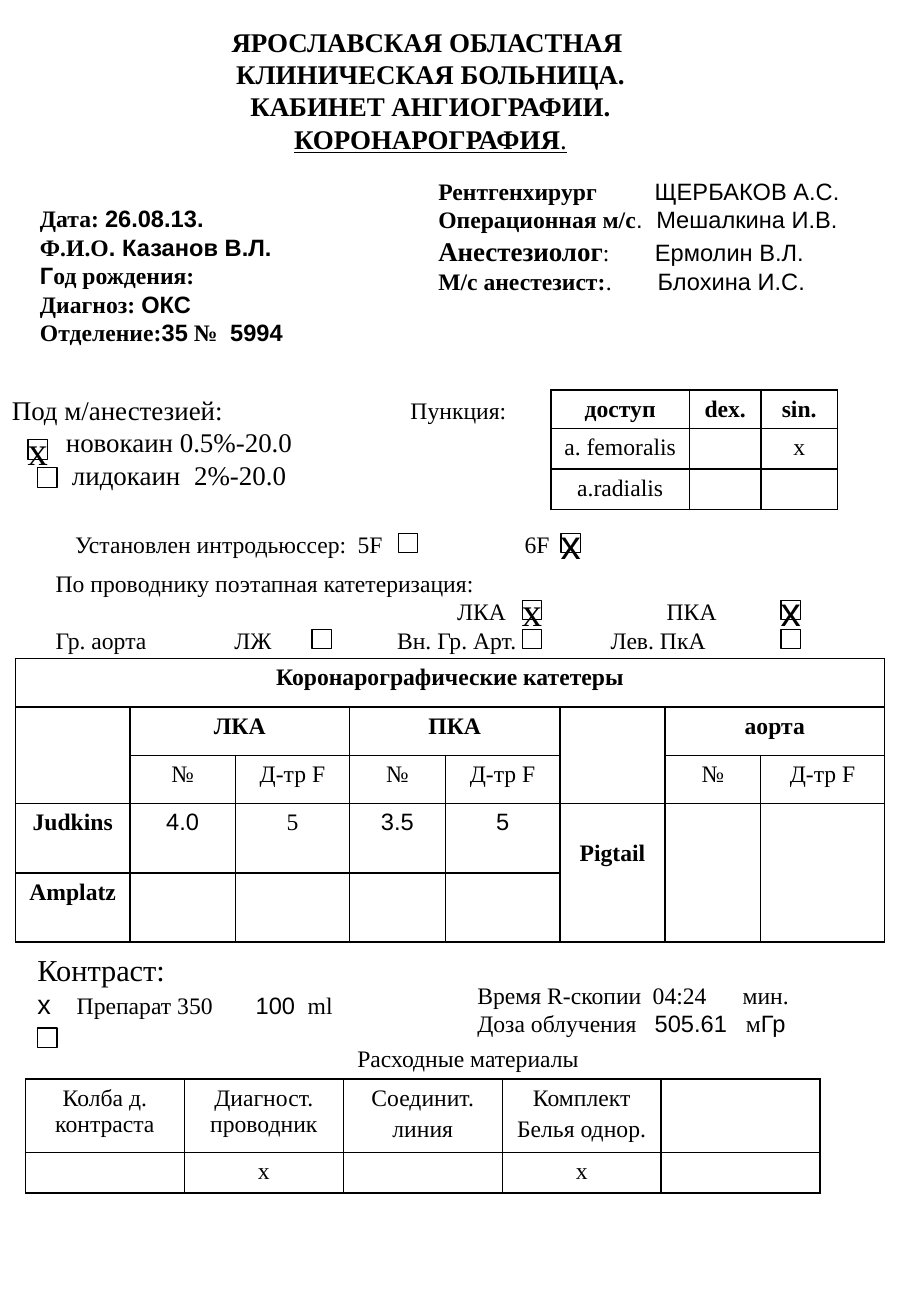
from lxml.etree import SubElement
from pptx import Presentation
from pptx.dml.color import RGBColor
from pptx.enum.shapes import MSO_SHAPE as Shape
from pptx.enum.text import MSO_ANCHOR as Anchor, PP_ALIGN as Align
from pptx.oxml.ns import qn
from pptx.util import Pt

BLACK = RGBColor.from_string("000000")
MID, TOP = Anchor.MIDDLE, Anchor.TOP


def write(frame, paras, align=Align.LEFT, ratio=1.2, gap=0):
    """Each paragraph is (tab stops, runs); a run is (text, style, size).
    Style letters: T Times, A Arial, B bold, U underlined."""
    for i, (tabs, runs) in enumerate(paras):
        para = frame.paragraphs[0] if i == 0 else frame.add_paragraph()
        if tabs:
            stops = SubElement(para._p.get_or_add_pPr(), qn("a:tabLst"))
            for tab in tabs:
                SubElement(stops, qn("a:tab"), pos=str(int(Pt(tab))), algn="l")
        para.alignment = align
        if i and gap:
            para.space_before = Pt(gap)
        para.line_spacing = Pt(round(ratio * max([r[2] for r in runs] or [14]), 2))
        for text, style, size in runs:
            run = para.add_run()
            run.text = text
            font = run.font
            font.name = "Arial" if "A" in style else "Times New Roman"
            font.size = Pt(size)
            font.bold = "B" in style
            font.underline = "U" in style
            font.color.rgb = BLACK
        if not runs:
            SubElement(para._p, qn("a:endParaRPr"), sz="1400")


def grid(x, y, cols, rows, texts, merges=()):
    """Ruled table; texts maps (row, column) to (style, lines)."""
    table = slide.shapes.add_table(len(rows), len(cols), Pt(x), Pt(y),
                                   Pt(sum(cols)), Pt(sum(rows))).table
    table.first_row = table.horz_banding = False
    for col, width in zip(table.columns, cols):
        col.width = Pt(width)
    for row, height in zip(table.rows, rows):
        row.height = Pt(height)
    for r in range(len(rows)):
        for c in range(len(cols)):
            cell = table.cell(r, c)
            cell.margin_top = cell.margin_bottom = Pt(3.6)
            style, lines = texts.get((r, c), ("T", []))
            paras = [([], [(line, style, 14)]) for line in lines] or [([], [])]
            write(cell.text_frame, paras, Align.CENTER, 1.107, 2.8)
            props = cell._tc.get_or_add_tcPr()
            for side in ("a:lnL", "a:lnR", "a:lnT", "a:lnB"):
                line = SubElement(props, qn(side), w=str(int(Pt(1))))
                fill = SubElement(line, qn("a:solidFill"))
                SubElement(fill, qn("a:srgbClr"), val=str(BLACK))
            cell.fill.background()
    for r, c, r2, c2 in merges:
        table.cell(r, c).merge(table.cell(r2, c2))
    return table


deck = Presentation()
deck.slide_width, deck.slide_height = Pt(540), Pt(779.76)
slide = deck.slides.add_slide(deck.slide_layouts[6])

# Text blocks: left, top, width, height, anchor, alignment, line ratio, paragraphs
title = [
    ([], [("ЯРОСЛАВСКАЯ ОБЛАСТНАЯ ", "TB", 16)]),
    ([], [("КЛИНИЧЕСКАЯ БОЛЬНИЦА.", "TB", 16)]),
    ([], [("КАБИНЕТ АНГИОГРАФИИ.", "TB", 16)]),
    ([], [("КОРОНАРОГРАФИЯ", "TBU", 16), (".", "TU", 16)]),
]
patient = [
    ([], [("Дата: ", "TB", 14), ("26.08.13.", "AB", 14)]),
    ([], [("Ф.И.О", "TB", 14), (". Казанов В.Л.", "AB", 14)]),
    ([], [("Г", "AB", 14), ("од рождения:", "TB", 14)]),
    ([], [("Диагноз: ", "TB", 14), ("ОКС", "AB", 14)]),
    ([112.8], [("Отделение:", "TB", 14), ("35", "AB", 14),
               (" №\t", "TB", 14), ("5994", "AB", 14)]),
]
drugs = [
    ([], [("Под м/анестезией:", "T", 16)]),
    ([32], [("\tновокаин 0.5%-20.0", "T", 16)]),
    ([35.6, 108], [("\tлидокаин\t2%-20.0", "T", 16)]),
]
team = [
    ([128.2], [("Рентгенхирург\t", "TB", 14), ("ЩЕРБАКОВ А.С.", "A", 14)]),
    ([129.2], [("Операционная м/с", "TB", 14), (".\tМешалкина И.В.", "A", 14)]),
    ([128.4], [("Анестезиолог", "TB", 16), (":\t", "T", 14), ("Ермолин В.Л.", "A", 14)]),
    ([130], [("М/с анестезист:", "TB", 14), (".\t", "T", 14), ("Блохина И.С.", "A", 14)]),
]
sheath = [([167.5, 266.5], [("Установлен интродьюссер:\t5F\t6F", "T", 14)])]
steps = [
    ([], [("По проводнику поэтапная катетеризация:", "T", 14)]),
    ([238, 362.2], [("\tЛКА\tПКА", "T", 14)]),
    ([106, 202.4, 329], [("Гр. аорта\tЛЖ\tВн. Гр. Арт.\tЛев. ПкА", "T", 14)]),
]
dye = [
    ([], [("Контраст:", "T", 18)]),
    ([23.3, 129.4, 160.2], [("х\t", "A", 16), ("Препарат 350\t", "T", 14),
                            ("100\t", "A", 14), ("ml", "T", 14)]),
]
dose = [
    ([104, 157.3], [("Время R-скопии\t04:24\tмин.", "T", 14)]),
    ([105.2, 159.2], [("Доза облучения\t", "T", 14), ("505.61\t", "A", 14),
                      ("м", "T", 14), ("Гр", "A", 14)]),
]
blocks = [
    (12.2, 0, 486, 106.6, MID, Align.CENTER, 1.2, title),
    (16.6, 86.4, 221, 153.4, MID, Align.LEFT, 1.2, patient),
    (0, 229.6, 246, 65, TOP, Align.LEFT, 1.2, drugs),
    (252.7, 100.8, 270, 77.8, TOP, Align.LEFT, 1.22, team),
    (236.2, 231.1, 71.3, 24, TOP, Align.LEFT, 1.2, [([], [("Пункция:", "T", 14)])]),
    (37.4, 310.3, 455, 24, TOP, Align.LEFT, 1.2, sheath),
    (25.9, 333.4, 499, 57.6, TOP, Align.LEFT, 1.2, steps),
    (15.1, 560.2, 283, 48, TOP, Align.LEFT, 1.2, dye),
    (275.8, 577.4, 224.6, 41, TOP, Align.LEFT, 1.2, dose),
    (33.8, 614.9, 487.4, 24, TOP, Align.CENTER, 1.2,
     [([], [("Расходные материалы", "T", 14)])]),
]
for x, y, w, h, anchor, align, ratio, paras in blocks:
    frame = slide.shapes.add_textbox(Pt(x), Pt(y), Pt(w), Pt(h)).text_frame
    frame.word_wrap = True
    frame.vertical_anchor = anchor
    write(frame, paras, align, ratio)

# Access table
grid(326.5, 231.1, [82.3, 42.2, 45.6], [22.7] * 3, {
    (0, 0): ("TB", ["доступ"]), (0, 1): ("TB", ["dex."]), (0, 2): ("TB", ["sin."]),
    (1, 0): ("T", ["a. femoralis"]), (1, 2): ("T", ["х"]),
    (2, 0): ("T", ["a.radialis"]),
})

# Catheter table
sizes = {(2, c): ("T", [text]) for c, text in
         [(1, "№"), (2, "Д-тр F"), (3, "№"), (4, "Д-тр F"), (6, "№"), (7, "Д-тр F")]}
tubes = grid(9.2, 390.2, [67.8, 62.5, 67.8, 56.7, 68, 62.3, 56.7, 73.5],
             [28.7, 28.7, 28.7, 41, 41], {
    (0, 0): ("TB", ["Коронарографические катетеры"]),
    (1, 1): ("TB", ["ЛКА"]), (1, 3): ("TB", ["ПКА"]), (1, 6): ("TB", ["аорта"]),
    **sizes,
    (3, 0): ("TB", ["Judkins"]), (3, 1): ("A", ["4.0"]), (3, 2): ("T", ["5"]),
    (3, 3): ("A", ["3.5"]), (3, 4): ("A", ["5"]), (3, 5): ("TB", ["Pigtail"]),
    (4, 0): ("TB", ["Amplatz"]),
}, [(0, 0, 0, 7), (1, 0, 2, 0), (1, 1, 1, 2), (1, 3, 1, 4), (1, 5, 2, 5),
    (1, 6, 1, 7), (3, 5, 4, 5), (3, 6, 4, 6), (3, 7, 4, 7)])
tubes.cell(3, 5).margin_top = Pt(22)

# Supplies table
grid(15.1, 639.4, [94.2] * 5, [43.5, 24], {
    (0, 0): ("T", ["Колба д. контраста"]), (0, 1): ("T", ["Диагност. проводник"]),
    (0, 2): ("T", ["Соединит.", "линия"]), (0, 3): ("T", ["Комплект", "Белья однор."]),
    (1, 1): ("T", ["х"]), (1, 3): ("T", ["х"]),
})

# Check boxes: left, top, font of the mark
for x, y, mark in [
    (16.6, 260.6, "T"), (22.3, 277.2, ""), (236.2, 316.1, ""), (332.6, 316.1, "A"),
    (309.6, 355.7, "T"), (463, 355.7, "A"), (185, 373, ""), (309.6, 373, ""),
    (463, 373, ""), (22.3, 609.1, ""),
]:
    box = slide.shapes.add_shape(Shape.RECTANGLE, Pt(x), Pt(y), Pt(11.5), Pt(11.5))
    box.shadow.inherit = False
    box.fill.background()
    box.line.color.rgb = BLACK
    box.line.width = Pt(0.75)
    if mark:
        frame = box.text_frame
        frame.word_wrap = False
        frame.vertical_anchor = MID
        write(frame, [([], [("х", mark, 24)])], Align.CENTER)

deck.save("out.pptx")
